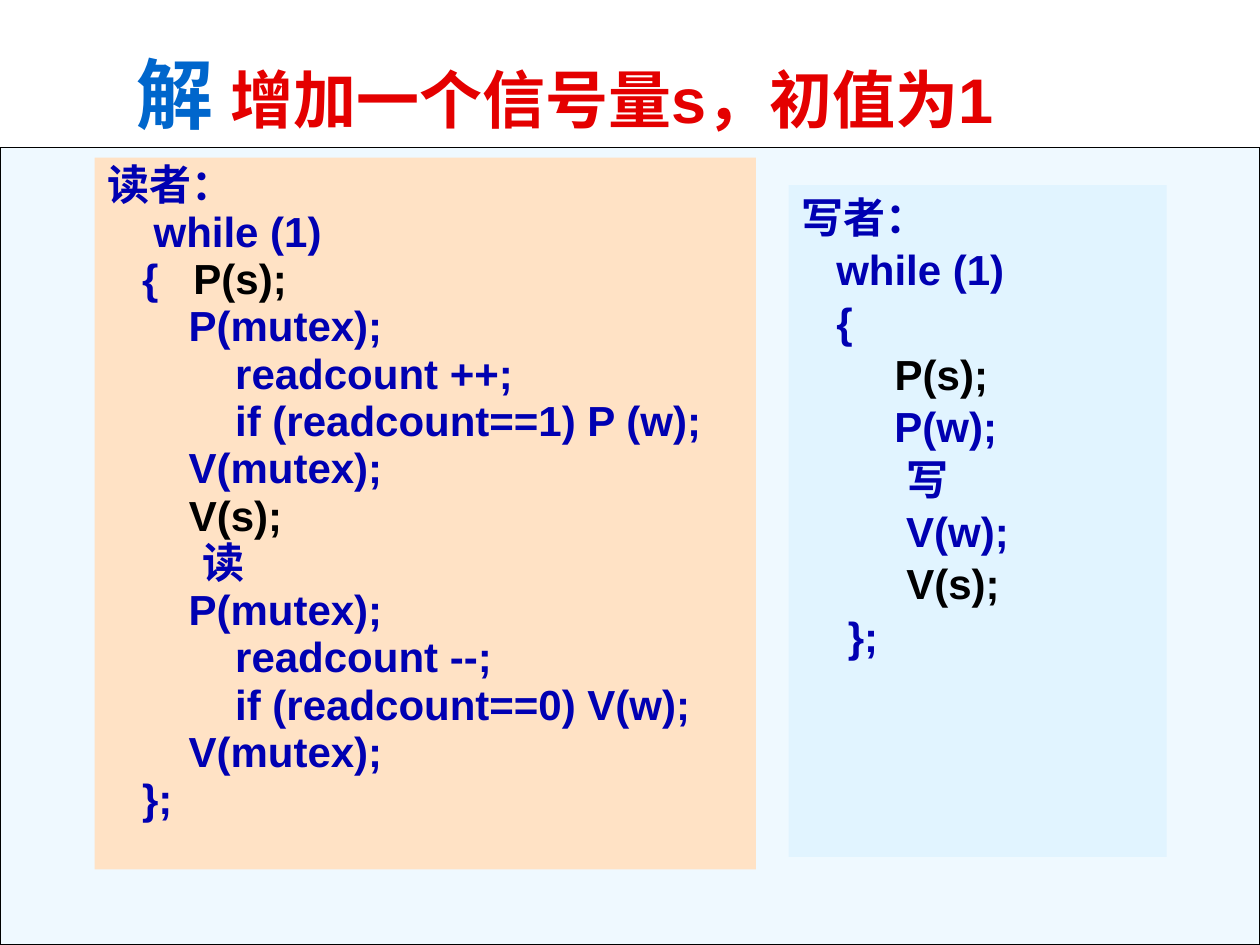
from dataclasses import dataclass

from lxml.etree import SubElement
from pptx import Presentation
from pptx.dml.color import RGBColor
from pptx.enum.shapes import MSO_SHAPE as Shape
from pptx.enum.text import MSO_ANCHOR as Anchor, MSO_AUTO_SIZE as AutoSize, PP_ALIGN as Align
from pptx.oxml.ns import qn
from pptx.util import Inches, Pt


@dataclass(frozen=True)
class Theme:
    font: str = "Arial"
    answer: str = "0066CC"
    heading: str = "E40000"
    code: str = "0000B2"
    added: str = "000000"
    line: str = "000000"
    white: str = "FFFFFF"
    reader: str = "FFE2C5"
    writer: str = "E1F4FF"
    answer_size: int = 44
    heading_size: int = 36
    code_size: int = 24


THEME = Theme()
ADDED_CALLS = ("P(s);", "V(s);")

READER_CODE = """读者：
    while (1)
   {   P(s);
       P(mutex);
           readcount ++;
           if (readcount==1) P (w);
       V(mutex);
       V(s);
          读
       P(mutex);
           readcount --;
           if (readcount==0) V(w);
       V(mutex);
   };"""

WRITER_CODE = """写者：
   while (1)
   {
        P(s);
        P(w);
           写
         V(w);
         V(s);
    };"""


def fill_solid(shape, color):
    shape.fill.solid()
    shape.fill.fore_color.rgb = RGBColor.from_string(color)


def add_text(paragraph, text, *, size, color, bold=True):
    run = paragraph.add_run()
    run.text = text
    run.font.name = THEME.font
    run.font.size = Pt(size)
    run.font.bold = bold
    run.font.color.rgb = RGBColor.from_string(color)


def place(shape, box, color, anchor):
    """Move a placeholder into its box and prepare its fill and text frame."""
    shape.left, shape.top, shape.width, shape.height = (Inches(n) for n in box)
    fill_solid(shape, color)
    frame = shape.text_frame
    frame.auto_size = AutoSize.NONE
    frame.word_wrap = True
    frame.vertical_anchor = anchor
    return frame


def set_hanging_indent(paragraph, indent):
    properties = paragraph._p.get_or_add_pPr()
    properties.set("marL", str(indent))
    properties.set("indent", str(-indent))
    SubElement(properties, qn("a:buNone"))


def add_backdrop(slide, box):
    backdrop = slide.shapes.add_shape(Shape.RECTANGLE, *(Inches(n) for n in box))
    backdrop.shadow.inherit = False
    fill_solid(backdrop, THEME.writer)
    color = backdrop._element.spPr.find(qn("a:solidFill"))[0]
    SubElement(color, qn("a:alpha"), val="50000")
    backdrop.line.color.rgb = RGBColor.from_string(THEME.line)
    backdrop.line.width = Pt(0.75)
    slide.shapes.title._element.addprevious(backdrop._element)


def fill_title(title, box):
    paragraph = place(title, box, THEME.white, Anchor.MIDDLE).paragraphs[0]
    paragraph.alignment = Align.LEFT
    add_text(paragraph, "解 ", size=THEME.answer_size, color=THEME.answer)
    add_text(paragraph, "增加一个信号量s，初值为1", size=THEME.heading_size, color=THEME.heading)


def fill_code(body, box, color, code, line_spacing):
    """Write one code line per paragraph, marking the newly added calls."""
    frame = place(body, box, color, Anchor.TOP)
    for number, line in enumerate(code.split("\n")):
        paragraph = frame.add_paragraph() if number else frame.paragraphs[0]
        set_hanging_indent(paragraph, Inches(0.38))
        paragraph.line_spacing = line_spacing
        paragraph.space_before = Pt(1.1 if number else 0)
        call = next((call for call in ADDED_CALLS if line.endswith(call)), "")
        lead = line.removesuffix(call)
        add_text(paragraph, lead, size=THEME.code_size, color=THEME.code)
        if call:
            add_text(paragraph, call, size=THEME.code_size, color=THEME.added)


def main():
    presentation = Presentation()
    presentation.slide_width, presentation.slide_height = Inches(10), Inches(7.5)
    slide = presentation.slides.add_slide(presentation.slide_layouts.get_by_name("Two Content"))
    title, reader, writer = slide.placeholders
    add_backdrop(slide, (0, 1.17, 10, 6.33))
    fill_title(title, (0.98, 0.36, 7.42, 0.75))
    fill_code(reader, (0.75, 1.25, 5.25, 5.65), THEME.reader, READER_CODE, 0.9)
    fill_code(writer, (6.26, 1.47, 3, 5.33), THEME.writer, WRITER_CODE, 1.0)
    presentation.save("out.pptx")


if __name__ == "__main__":
    main()
